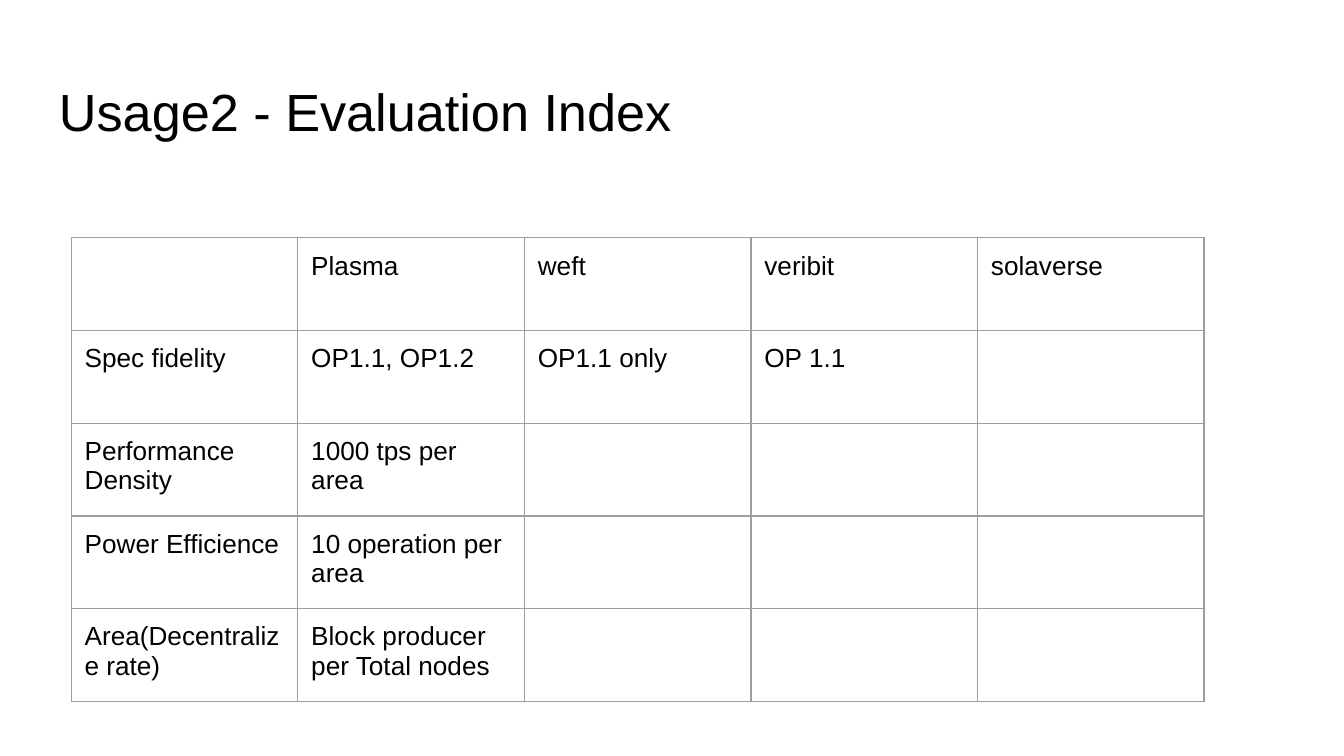
from lxml.etree import SubElement as add_element
from pptx import Presentation
from pptx.dml.color import RGBColor
from pptx.enum.text import MSO_ANCHOR as Anchor
from pptx.oxml.ns import qn
from pptx.util import Inches, Pt

BLACK = "000000"
GRAY = "9E9E9E"
FRAME_FORMAT = {f"margin_{side}": Inches(0.1) for side in ("left", "top", "right", "bottom")}
FRAME_FORMAT["vertical_anchor"] = Anchor.TOP
ROWS = [
    ["", "Plasma", "weft", "veribit", "solaverse"],
    ["Spec fidelity", "OP1.1, OP1.2", "OP1.1 only", "OP 1.1", ""],
    ["Performance\nDensity", "1000 tps per area", "", "", ""],
    ["Power Efficience", "10 operation per area", "", "", ""],
    ["Area(Decentralize rate)", "Block producer per Total nodes", "", "", ""],
]
TABLE_WIDTH = Inches(8.43)
ROW_HEIGHT = Inches(0.69)


def write(frame, text, size):
    frame.word_wrap = True
    frame.text = text
    for para in frame.paragraphs:
        for span in para.runs:
            for name, value in {"name": "Arial", "size": Pt(size), "bold": False}.items():
                setattr(span.font, name, value)
            span.font.color.rgb = RGBColor.from_string(BLACK)


def outline(cell, color, width):
    properties = cell._tc.get_or_add_tcPr()
    for side in ("lnL", "lnR", "lnT", "lnB"):
        line = add_element(properties, qn(f"a:{side}"), w=str(Pt(width)))
        fill = add_element(line, qn("a:solidFill"))
        add_element(fill, qn("a:srgbClr"), val=color)


deck = Presentation()
deck.slide_width = Inches(10)
deck.slide_height = Inches(10) * 9 // 16
page = deck.slides.add_slide(deck.slide_layouts[6])

title_box = page.shapes.add_textbox(Inches(0.34), Inches(0.49), Inches(9.32), Inches(0.63))
for name, value in FRAME_FORMAT.items():
    setattr(title_box.text_frame, name, value)
write(title_box.text_frame, "Usage2 - Evaluation Index", 28)

table = page.shapes.add_table(
    len(ROWS), len(ROWS[0]), Inches(0.53), Inches(1.77), TABLE_WIDTH, ROW_HEIGHT * len(ROWS)
).table
table.first_row = False
table.horz_banding = False
for column in table.columns:
    column.width = TABLE_WIDTH // len(ROWS[0])
for row, texts in zip(table.rows, ROWS):
    row.height = ROW_HEIGHT
    for cell, text in zip(row.cells, texts):
        for name, value in FRAME_FORMAT.items():
            setattr(cell, name, value)
        outline(cell, GRAY, 0.75)
        cell.fill.background()
        if text:
            write(cell.text_frame, text, 14)

deck.save("out.pptx")
